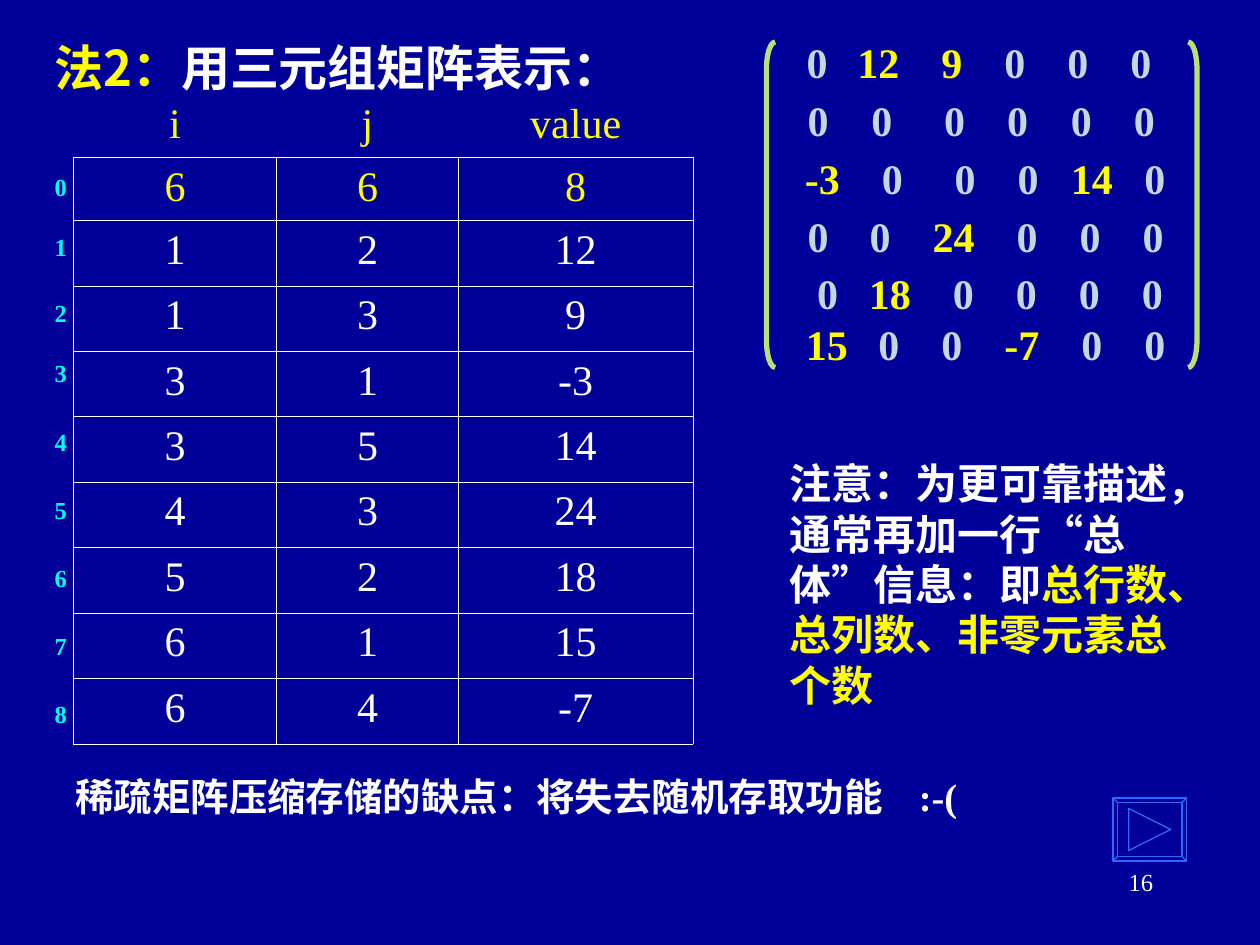
"""Build the slide on triplet storage of a sparse matrix."""
from dataclasses import dataclass

from lxml.etree import SubElement
from pptx import Presentation
from pptx.dml.color import RGBColor
from pptx.enum.shapes import MSO_SHAPE
from pptx.enum.text import MSO_ANCHOR, PP_ALIGN
from pptx.oxml.ns import qn
from pptx.util import Pt

COLORS = {
    "background": "000099", "white": "FFFFFF", "yellow": "FFFF00",
    "zero": "C4D7DE", "bracket": "BADE78", "index": "00FFFF", "button": "3366FF",
}
SERIF = "Times New Roman"
SANS = "Noto Sans CJK SC"
PLAIN_TABLE = "{2D5ABB26-0587-4C30-8999-92F81FD0307C}"
COLUMNS = (116, 104, 134)
TRIPLETS = (
    (1, 2, 12), (1, 3, 9), (3, 1, -3), (3, 5, 14),
    (4, 3, 24), (5, 2, 18), (6, 1, 15), (6, 4, -7),
)
EDGES = ("a:lnL", "a:lnR", "a:lnT", "a:lnB")


@dataclass
class Span:
    text: str
    color: str
    font: str = SERIF


@dataclass
class TextBlock:
    left: float
    top: float
    width: float
    height: float
    size: float
    spans: tuple[Span, ...]
    bold: bool = True
    align: PP_ALIGN = PP_ALIGN.LEFT
    anchor: MSO_ANCHOR = MSO_ANCHOR.TOP
    inset: float = 7.2
    stops: tuple[float, ...] = ()
    stop_align: str = "l"


@dataclass
class MatrixRow:
    top: float
    values: tuple[int, ...]
    centers: tuple[float, ...]


@dataclass
class Grid:
    left: float
    top: float
    columns: tuple[float, ...]
    rows: tuple[float, ...]
    values: tuple[tuple, ...]
    color: str
    size: float = 24
    bold: bool = False
    align: PP_ALIGN = PP_ALIGN.CENTER
    border: float = 0
    top_border: float = 0


MATRIX = (
    MatrixRow(24, (0, 12, 9, 0, 0, 0), (467, 502, 544, 580, 616, 652)),
    MatrixRow(57, (0, 0, 0, 0, 0, 0), (467.5, 504, 545.5, 581.5, 618, 654)),
    MatrixRow(90, (-3, 0, 0, 0, 14, 0), (470, 510, 551.5, 587.5, 624, 660)),
    MatrixRow(123, (0, 0, 24, 0, 0, 0), (467.5, 503, 545, 587, 623, 659)),
    MatrixRow(156, (0, 18, 0, 0, 0, 0), (473, 508.5, 550.5, 586.5, 622.5, 658.5)),
    MatrixRow(185, (15, 0, 0, -7, 0, 0), (472.5, 508, 544, 584, 624, 660)),
)

TEXTS = (
    TextBlock(516, 492, 150, 36, 14, (Span("16", "white"),), False, PP_ALIGN.RIGHT),
    TextBlock(24, 18, 347, 41, 28, (
        Span("法2：", "yellow", SANS), Span("用三元组矩阵表示：", "white", SANS))),
    TextBlock(444, 258, 246, 151, 24, (
        Span("注意：为更可靠描述，通常再加一行", "white", SANS),
        Span("“", "white"), Span("总体", "white", SANS), Span("”", "white"),
        Span("信息：即", "white", SANS),
        Span("总行数、总列数、非零元素总个数", "yellow", SANS))),
    TextBlock(36, 438, 546, 34, 22, (
        Span("稀疏矩阵压缩存储的缺点：将失去随机存取功能\t:-(", "white"),), stops=(482,)),
)

GRIDS = (
    Grid(42, 126, COLUMNS, (37.4,) * 8, TRIPLETS, "white", border=0.45, top_border=0.11),
    Grid(42, 90, COLUMNS, (36,), ((6, 6, 8),), "yellow", border=0.11, top_border=0.11),
    Grid(42, 54, COLUMNS, (36,), (("i", "j", "value"),), "yellow"),
    Grid(24, 96, (24,), (34.3, 37.7, 34.8) + (38.9,) * 5 + (34.6,),
         tuple((number,) for number in range(9)), "index", 14, True, PP_ALIGN.LEFT),
)


def rgb(name: str) -> RGBColor:
    """Look up a named colour."""
    return RGBColor.from_string(COLORS[name])


def style_span(span, color: str, size: float, bold: bool, font: str = SERIF) -> None:
    """Format one run, with a face for Latin and one for Chinese text."""
    span.font.size = Pt(size)
    span.font.bold = bold
    span.font.name = font
    span.font.color.rgb = rgb(color)
    SubElement(span.font._element, qn("a:ea"), typeface=SANS)


def add_stops(para, stops: tuple[float, ...], align: str) -> None:
    """Give a paragraph its tab stops."""
    tabs = SubElement(para._p.get_or_add_pPr(), qn("a:tabLst"))
    for stop in stops:
        SubElement(tabs, qn("a:tab"), pos=str(int(Pt(stop))), algn=align)


def draw_text(page, block: TextBlock) -> None:
    """Draw a text box made of coloured spans."""
    box = page.shapes.add_textbox(
        Pt(block.left), Pt(block.top), Pt(block.width), Pt(block.height))
    frame = box.text_frame
    frame.word_wrap = True
    frame.vertical_anchor = block.anchor
    frame.margin_left = frame.margin_right = Pt(block.inset)
    para = frame.paragraphs[0]
    para.alignment = block.align
    if block.stops:
        add_stops(para, block.stops, block.stop_align)
    for part in block.spans:
        span = para.add_run()
        span.text = part.text
        style_span(span, part.color, block.size, block.bold, part.font)


def draw_matrix_row(page, row: MatrixRow) -> None:
    """Draw one matrix row with its values centred on tab stops."""
    left = 444
    spans = tuple(Span(f"\t{value}", "yellow" if value else "zero") for value in row.values)
    stops = tuple(center - left for center in row.centers)
    draw_text(page, TextBlock(left, row.top, 232, 23, 24, spans, inset=0, stops=stops,
                              anchor=MSO_ANCHOR.MIDDLE, stop_align="ctr"))


def style_cell(cell, grid: Grid, value, first: bool) -> None:
    """Fill in one cell with its text and borders."""
    cell.text_frame.text = str(value)
    para = cell.text_frame.paragraphs[0]
    para.alignment = grid.align
    style_span(para.runs[0], grid.color, grid.size, grid.bold)
    properties = cell._tc.get_or_add_tcPr()
    for edge in EDGES if grid.border else ():
        width = grid.top_border if first and edge == "a:lnT" else grid.border
        line = SubElement(properties, qn(edge), w=str(int(Pt(width))))
        SubElement(SubElement(line, qn("a:solidFill")), qn("a:srgbClr"), val=COLORS["white"])
    cell.fill.background()


def draw_grid(page, grid: Grid) -> None:
    """Draw a table without a banded style."""
    table = page.shapes.add_table(
        len(grid.rows), len(grid.columns), Pt(grid.left), Pt(grid.top),
        Pt(sum(grid.columns)), Pt(sum(grid.rows))).table
    table.first_row = table.horz_banding = False
    table._tbl.tblPr.find(qn("a:tableStyleId")).text = PLAIN_TABLE
    for column, width in zip(table.columns, grid.columns):
        column.width = Pt(width)
    for index, (row, height) in enumerate(zip(table.rows, grid.rows)):
        row.height = Pt(height)
        for cell, value in zip(row.cells, grid.values[index]):
            style_cell(cell, grid, value, index == 0)


def outline(shape, color: str, width: float) -> None:
    """Leave a shape unfilled with a coloured line."""
    shape.shadow.inherit = False
    shape.fill.background()
    shape.line.color.rgb = rgb(color)
    shape.line.width = Pt(width)


def draw_bracket(page, kind: MSO_SHAPE, left: float) -> None:
    """Draw one side of the matrix brackets."""
    bracket = page.shapes.add_shape(kind, Pt(left), Pt(24), Pt(5), Pt(186))
    bracket.adjustments[0] = 3.1
    outline(bracket, "bracket", 3)


def draw_button(page) -> None:
    """Draw the bevelled button with its forward triangle."""
    bevel = page.shapes.add_shape(MSO_SHAPE.BEVEL, Pt(636), Pt(456), Pt(42), Pt(36))
    bevel.adjustments[0] = 0.07
    outline(bevel, "button", 0.75)
    builder = page.shapes.build_freeform(Pt(645), Pt(462))
    builder.add_line_segments([(Pt(669), Pt(474)), (Pt(645), Pt(486))], close=True)
    outline(builder.convert_to_shape(), "button", 0.75)


def main() -> None:
    """Build and save the deck."""
    deck = Presentation()
    deck.slide_width, deck.slide_height = Pt(720), Pt(540)
    page = deck.slides.add_slide(deck.slide_layouts[6])
    page.background.fill.solid()
    page.background.fill.fore_color.rgb = rgb("background")
    draw_bracket(page, MSO_SHAPE.LEFT_BRACKET, 438)
    draw_bracket(page, MSO_SHAPE.RIGHT_BRACKET, 679)
    for row in MATRIX:
        draw_matrix_row(page, row)
    for grid in GRIDS:
        draw_grid(page, grid)
    for block in TEXTS:
        draw_text(page, block)
    draw_button(page)
    deck.save("out.pptx")


if __name__ == "__main__":
    main()
